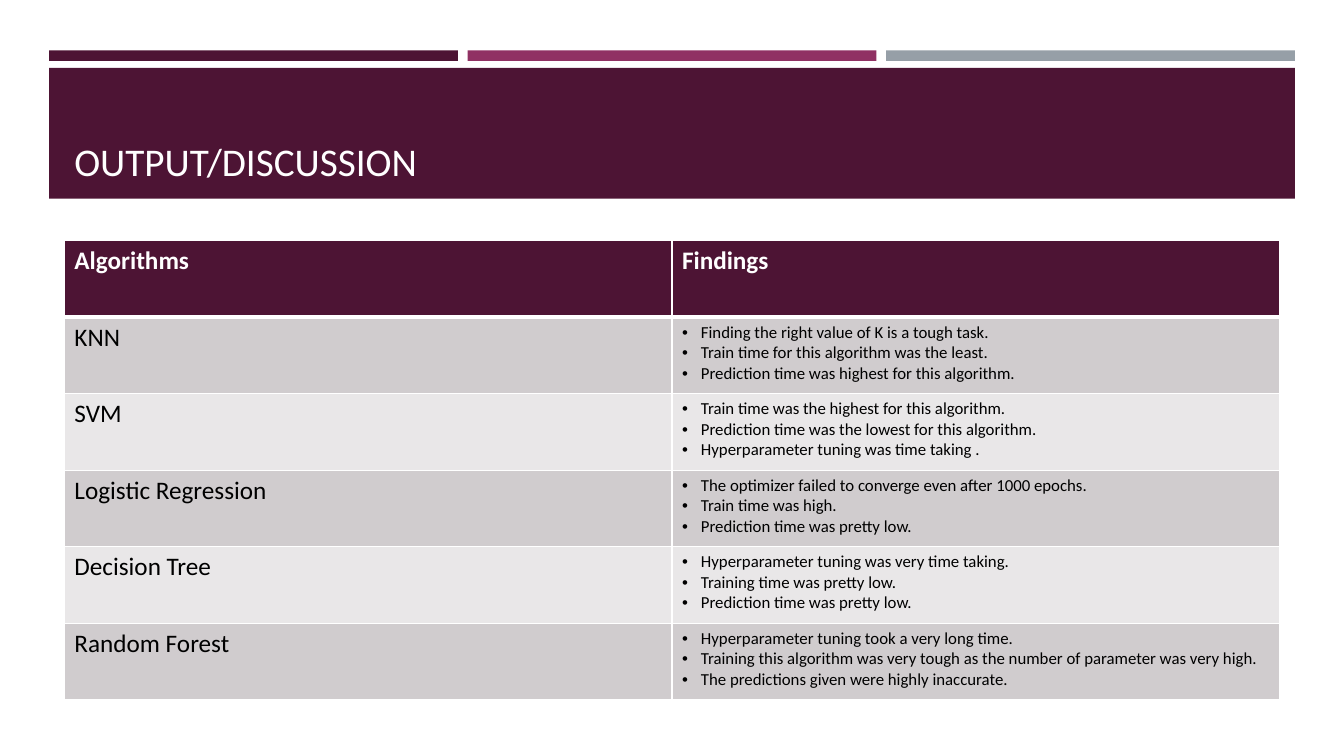
import pptx
import pptx.util
import pptx.dml.color
import pptx.enum.shapes
import pptx.enum.text
import pptx.oxml
import pptx.oxml.ns
import lxml.etree

Pt = pptx.util.Pt
RGBColor = pptx.dml.color.RGBColor

PLUM = RGBColor(0x4D, 0x14, 0x34)
MAGENTA = RGBColor(0x90, 0x31, 0x63)
SLATE = RGBColor(0x96, 0x9F, 0xA7)
DARK_ROW = RGBColor(0xD0, 0xCC, 0xCE)
LIGHT_ROW = RGBColor(0xE9, 0xE7, 0xE8)
WHITE = RGBColor(0xFF, 0xFF, 0xFF)
BLACK = RGBColor(0, 0, 0)

FINDINGS = {
    "KNN": [
        "Finding the right value of K is a tough task.",
        "Train time for this algorithm was the least.",
        "Prediction time was highest for this algorithm.",
    ],
    "SVM": [
        "Train time was the highest for this algorithm.",
        "Prediction time was the lowest for this algorithm.",
        "Hyperparameter tuning was time taking .",
    ],
    "Logistic Regression": [
        "The optimizer failed to converge even after 1000 epochs.",
        "Train time was high.",
        "Prediction time was pretty low.",
    ],
    "Decision Tree": [
        "Hyperparameter tuning was very time taking.",
        "Training time was pretty low.",
        "Prediction time was pretty low.",
    ],
    "Random Forest": [
        "Hyperparameter tuning took a very long time.",
        "Training this algorithm was very tough as the number of parameter was very high.",
        "The predictions given were highly inaccurate.",
    ],
}


class SlideBuilder:
    font_name = "Calibri"
    bullet_indent = Pt(13.5)

    def __init__(self, slide):
        self.slide = slide

    def bar(self, left, top, width, height, color):
        shape = self.slide.shapes.add_shape(
            pptx.enum.shapes.MSO_SHAPE.RECTANGLE, Pt(left), Pt(top), Pt(width), Pt(height))
        shape.shadow.inherit = False
        shape.fill.solid()
        shape.fill.fore_color.rgb = color
        shape.line.fill.background()

    def fill_text(self, text_frame, lines, color, bulleted=False, **font_format):
        text_frame.text = "\n".join(lines)
        for paragraph in text_frame.paragraphs:
            font = paragraph.runs[0].font
            for name, value in {"name": self.font_name, **font_format}.items():
                setattr(font, name, value)
            font.color.rgb = color
            if bulleted:
                self.bullet(paragraph)

    def bullet(self, paragraph):
        properties = paragraph._p.get_or_add_pPr()
        properties.set("marL", str(self.bullet_indent))
        properties.set("indent", str(-self.bullet_indent))
        for tag, attribute, value in (("a:buFont", "typeface", "Arial"), ("a:buChar", "char", "•")):
            element = lxml.etree.SubElement(properties, pptx.oxml.ns.qn(tag))
            element.set(attribute, value)

    def title(self, text, left, top, width, height):
        text_frame = self.slide.shapes.add_textbox(
            Pt(left), Pt(top), Pt(width), Pt(height)).text_frame
        frame_format = {"word_wrap": True, "vertical_anchor": pptx.enum.text.MSO_ANCHOR.BOTTOM}
        for name, value in frame_format.items():
            setattr(text_frame, name, value)
        self.fill_text(text_frame, [text], WHITE, size=Pt(28))

    def borders(self, cell, widths):
        properties = cell._tc.get_or_add_tcPr()
        for side, width in widths.items():
            properties.append(pptx.oxml.parse_xml(
                f'<a:ln{side} {pptx.oxml.ns.nsdecls("a")} w="{Pt(width)}">'
                f'<a:solidFill><a:srgbClr val="{WHITE}"/></a:solidFill></a:ln{side}>'))

    def cell(self, cell, lines, fill, widths, color=BLACK, **text_format):
        self.borders(cell, widths)
        cell.fill.solid()
        cell.fill.fore_color.rgb = fill
        self.fill_text(cell.text_frame, lines, color, **text_format)

    def table(self, headings, findings, left, top, width, height):
        table = self.slide.shapes.add_table(
            len(findings) + 1, len(headings), Pt(left), Pt(top), Pt(width), Pt(height)).table
        header_borders = {"L": 1, "R": 1, "T": 1, "B": 3}
        for column, heading in enumerate(headings):
            self.cell(table.cell(0, column), [heading], PLUM, header_borders,
                      color=WHITE, size=Pt(18), bold=True)
        for row, (algorithm, remarks) in enumerate(findings.items(), 1):
            fill = DARK_ROW if row % 2 else LIGHT_ROW
            row_borders = {"L": 1, "R": 1, "T": 3 if row == 1 else 1, "B": 1}
            self.cell(table.cell(row, 0), [algorithm], fill, row_borders, size=Pt(18), bold=False)
            self.cell(table.cell(row, 1), remarks, fill, row_borders,
                      size=Pt(12), bold=False, bulleted=True)


presentation = pptx.Presentation()
presentation.slide_width = Pt(960)
presentation.slide_height = Pt(540)
builder = SlideBuilder(presentation.slides.add_slide(presentation.slide_layouts[6]))

for index, color in enumerate((PLUM, MAGENTA, SLATE)):
    builder.bar(35 + 299 * index, 36, 292, 7.5, color)
builder.bar(35, 48.5, 890, 93.5, PLUM)
builder.title("OUTPUT/DISCUSSION", 46, 55.5, 868, 80)
builder.table(("Algorithms", "Findings"), FINDINGS, 46, 172, 868, 328)

presentation.save("out.pptx")
